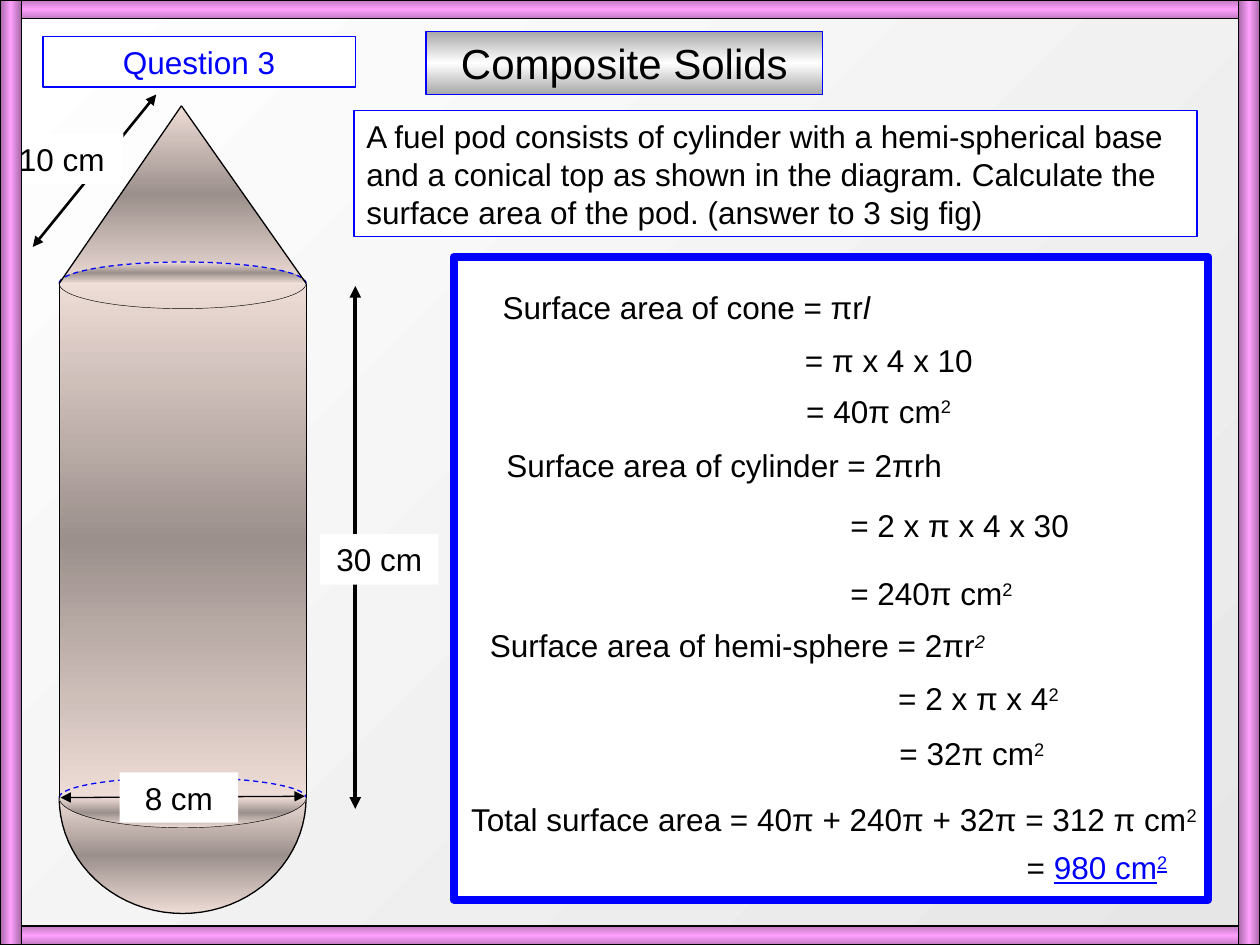
from copy import deepcopy
from dataclasses import dataclass
from math import cos, pi, sin

from lxml.etree import SubElement
from pptx import Presentation
from pptx.dml.color import RGBColor
from pptx.enum.dml import MSO_LINE_DASH_STYLE as DASH
from pptx.enum.shapes import MSO_CONNECTOR, MSO_SHAPE
from pptx.enum.text import MSO_ANCHOR, PP_ALIGN
from pptx.oxml.ns import qn
from pptx.util import Inches, Pt


@dataclass(frozen=True)
class Theme:
    font: str = "Arial"
    body: int = 18
    title: int = 24
    black: str = "000000"
    white: str = "FFFFFF"
    blue: str = "0000FF"
    backdrop: tuple = ("E6E6E6", "FFFFFF")
    banner: tuple = ("A8A8A8", "FFFFFF", "A8A8A8")
    rail: tuple = ("C079C0", "FEA0FE", "C079C0")
    post: tuple = ("A769A7", "FEA0FE", "A769A7")
    metal: tuple = ("EEDCD6", "9C908C", "EEDCD6")


T = Theme()

# Content: each line of text is a list of (text, style) runs
TITLE = "Composite Solids"
HEADING = "Question 3"
PROBLEM = ("A fuel pod consists of cylinder with a hemi-spherical base and a "
           "conical top as shown in the diagram. Calculate the surface area "
           "of the pod. (answer to 3 sig fig)")
SQUARED = ("2", "sup")
WORKING = [  # left, top, width, runs
    (3.89, 2.24, 4.99, [("Surface area of cone = πr", ""), ("l", "italic")]),
    (6.29, 2.66, 1.55, [("= π x 4 x 10", "")]),
    (6.30, 3.06, 1.41, [("= 40π cm", ""), SQUARED]),
    (3.92, 3.49, 4.54, [("Surface area of cylinder = 2πrh", "")]),
    (6.65, 3.97, 2.00, [("= 2 x π x 4 x 30", "")]),
    (6.65, 4.51, 1.58, [("= 240π cm", ""), SQUARED]),
    (3.79, 4.92, 4.42, [("Surface area of hemi-sphere = 2πr", ""), ("2", "sup italic")]),
    (7.03, 5.34, 1.81, [("= 2 x π x 4", ""), SQUARED]),
    (7.04, 5.78, 1.79, [("= 32π cm", ""), SQUARED]),
    (3.64, 6.30, 6.02, [("Total surface area = 40π + 240π + 32π = 312 π cm", ""), SQUARED]),
    (8.05, 6.68, 1.54, [("= ", ""), ("980 cm", "answer"), ("2", "sup answer")]),
]
DIMENSIONS = [  # label, label box, arrow start, arrow end, arrow weight
    ("8 cm", (0.95, 6.13, 0.94, 0.4), (0.48, 6.33), (2.42, 6.32), 0.75),
    ("30 cm", (2.54, 4.24, 0.94, 0.4), (2.82, 2.27), (2.82, 6.42), 2.25),
    ("10 cm", (0, 1.06, 0.98, 0.4), (0.26, 1.96), (1.24, 0.75), 1.5),
]

# Pod geometry
LEFT, RIGHT = 0.47, 2.43
APEX = (1.44, 0.84)
CONE_Y, BASE_Y = 2.25, 6.33
CX, RX = (LEFT + RIGHT) / 2, (RIGHT - LEFT) / 2

prs = Presentation()
prs.slide_width, prs.slide_height = Inches(10), Inches(7.5)
s = prs.slides.add_slide(prs.slide_layouts[6])


def rgb(value):
    return RGBColor.from_string(value)


def gradient(fill, element, colors, angle):
    fill.gradient()
    fill.gradient_angle = angle
    stops = element.xpath(".//a:gsLst")[0]
    for _ in colors[2:]:
        stops.append(deepcopy(stops[-1]))
    for i, (stop, color) in enumerate(zip(fill.gradient_stops, colors)):
        stop.position = i / (len(colors) - 1)
        stop.color.rgb = rgb(color)


def paint(sp, fill=None, line=None, weight=0.75, dash=False, angle=90):
    sp.shadow.inherit = False
    if isinstance(fill, tuple):
        gradient(sp.fill, sp.element, fill, angle)
    elif fill:
        sp.fill.solid()
        sp.fill.fore_color.rgb = rgb(fill)
    else:
        sp.fill.background()
    if line:
        sp.line.color.rgb = rgb(line)
        sp.line.width = Pt(weight)
        if dash:
            sp.line.dash_style = DASH.DASH
    else:
        sp.line.fill.background()


def box(at, **style):
    sp = s.shapes.add_shape(MSO_SHAPE.RECTANGLE, *map(Inches, at))
    paint(sp, **style)
    return sp


def write(sp, runs, size=T.body, color=T.black, align=PP_ALIGN.CENTER, wrap=True):
    tf = sp.text_frame
    tf.word_wrap = wrap
    tf.vertical_anchor = MSO_ANCHOR.TOP
    p = tf.paragraphs[0]
    p.alignment = align
    p.font.name, p.font.size = T.font, Pt(size)
    p.font.color.rgb = rgb(color)
    for text, style in runs:
        r = p.add_run()
        r.text = text
        if "italic" in style:
            r.font.italic = True
        if "answer" in style:
            r.font.underline = True
            r.font.color.rgb = rgb(T.blue)
        if "sup" in style:
            r.font._element.set("baseline", "30000")


def outline(points, close=False, **style):
    pts = [(Inches(x), Inches(y)) for x, y in points]
    builder = s.shapes.build_freeform(*pts[0])
    builder.add_line_segments(pts[1:], close=close)
    paint(builder.convert_to_shape(), **style)


def half_ellipse(cy, ry, **style):
    """Left to right; a positive ry bulges down, a negative one up."""
    steps = 40
    angles = [pi * i / steps for i in range(steps + 1)]
    outline([(CX - RX * cos(a), cy + ry * sin(a)) for a in angles], **style)


def line(start, end, weight=0.75, arrows=False):
    c = s.shapes.add_connector(MSO_CONNECTOR.STRAIGHT, *map(Inches, start + end))
    c.line.color.rgb = rgb(T.black)
    c.line.width = Pt(weight)
    if arrows:
        ln = c.element.xpath(".//a:ln")[0]
        for tag in ("a:headEnd", "a:tailEnd"):
            SubElement(ln, qn(tag), type="triangle")
    SubElement(c.element.spPr, qn("a:effectLst"))


# Background and title
gradient(s.background.fill, s.element, T.backdrop, 135)
write(box((3.38, 0.25, 3.15, 0.5), fill=T.banner, line=T.blue), [(TITLE, "")], size=T.title)

# Cone
outline([(LEFT, CONE_Y), (RIGHT, CONE_Y), APEX], close=True, fill=T.metal)
half_ellipse(CONE_Y, -0.17, fill=T.metal, line=T.blue, dash=True)
line((LEFT, CONE_Y), APEX)
line(APEX, (RIGHT, CONE_Y))

# Hemisphere, then cylinder with its rims and sides
half_ellipse(BASE_Y, 0.92, fill=T.metal, line=T.black)
half_ellipse(BASE_Y, 0.24, fill=T.metal, line=T.black, weight=0.25)
box((LEFT, CONE_Y, RIGHT - LEFT, BASE_Y - CONE_Y), fill=T.metal)
half_ellipse(BASE_Y, -0.16, line=T.blue, dash=True)
half_ellipse(CONE_Y, 0.2, line=T.black, weight=0.25)
for x in (LEFT, RIGHT):
    line((x, CONE_Y), (x, BASE_Y))

# Dimension arrows and labels
for label, at, start, end, weight in DIMENSIONS:
    line(start, end, weight, arrows=True)
    write(box(at, fill=T.white), [(label, "")])

# Frame
for y in (0, 7.35):
    box((0, y, 10, 0.15), fill=T.rail, line=T.black)
for x in (0, 9.83):
    box((x, 0, 0.17, 7.5), fill=T.post, line=T.black, angle=0)

# Question
write(box((0.34, 0.29, 2.48, 0.4), fill=T.white, line=T.blue), [(HEADING, "")], color=T.blue)
write(box((2.81, 0.88, 6.69, 1), fill=T.white, line=T.blue), [(PROBLEM, "")],
      align=PP_ALIGN.LEFT)

# Worked answer
box((3.6, 2.04, 5.99, 5.1), fill=T.white, line=T.blue, weight=4.5)
for x, y, w, runs in WORKING:
    tb = s.shapes.add_textbox(Inches(x), Inches(y), Inches(w), Inches(0.4))
    write(tb, runs, align=PP_ALIGN.LEFT, wrap=False)

prs.save("out.pptx")
